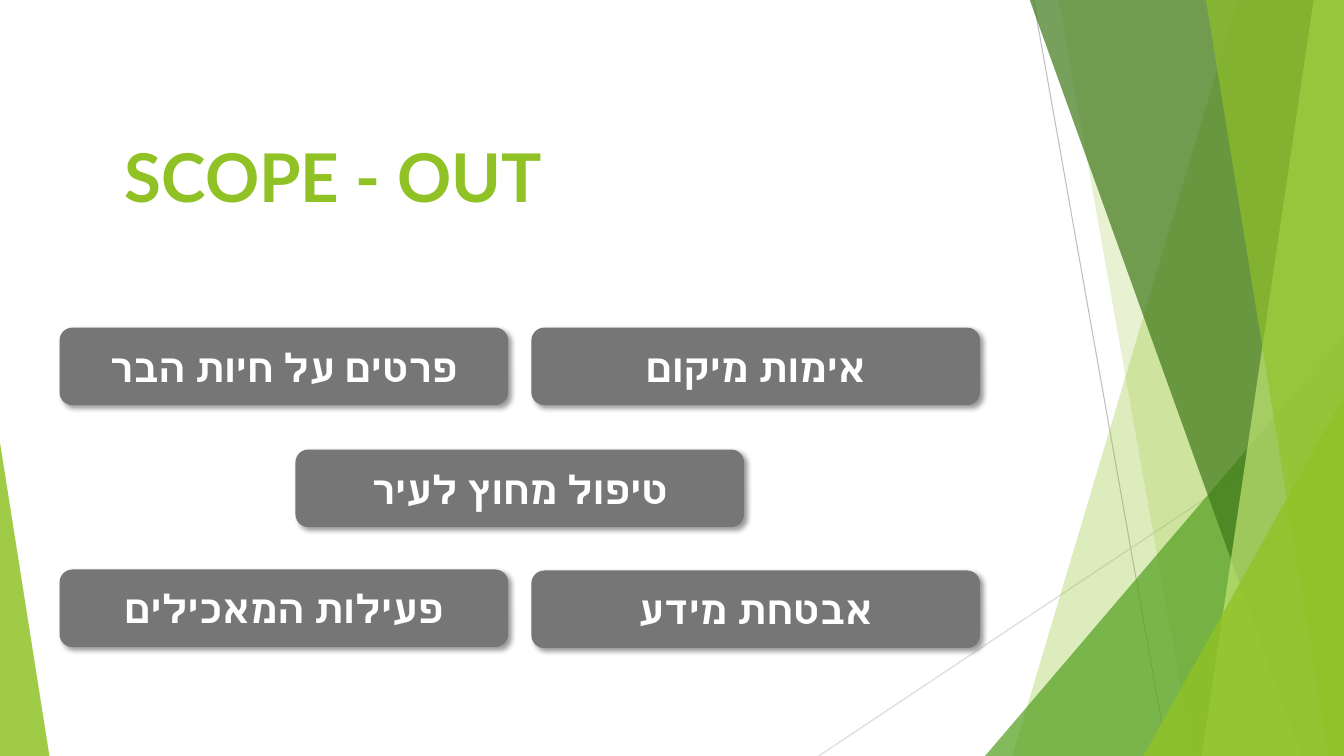
from dataclasses import dataclass

from lxml.etree import SubElement
from pptx import Presentation
from pptx.dml.color import RGBColor
from pptx.enum.shapes import MSO_CONNECTOR, MSO_SHAPE
from pptx.enum.text import MSO_ANCHOR, PP_ALIGN
from pptx.oxml.ns import qn
from pptx.util import Inches, Pt

WIDE, HIGH = 13.33, 7.5
TOP = -0.01
GREEN, WHITE, GRAY = "90C226", "FFFFFF", "767676"


@dataclass
class Line:
    start: tuple[float, float]
    end: tuple[float, float]
    color: str


@dataclass
class Band:
    """Panel that reaches the right edge, with a slanted left side."""
    head: float
    foot: float
    color: str
    alpha: int


@dataclass
class Wedge:
    """Triangle that stands on the bottom edge; tip is 0 left or 1 right."""
    left: float
    top: float
    width: float
    tip: int
    color: str
    alpha: int


@dataclass
class Box:
    text: str
    left: float
    top: float


LINES = [
    Line((10.25, 0), (11.58, HIGH), "BFBFBF"),
    Line((WIDE, 4.03), (8.12, HIGH), "D9D9D9"),
]
DECOR = [
    Band(12.28, 10.04, GREEN, 30),
    Band(10.5, 11.83, GREEN, 20),
    Wedge(9.77, 3.33, 3.56, 1, "54A021", 72),
    Band(10.21, 12.91, "3F7819", 70),
    Band(13.03, 11.92, "C0E474", 70),
    Band(11.96, 13.18, GREEN, 65),
    Wedge(11.34, 3.93, 1.99, 1, GREEN, 80),
    Wedge(0, 4.39, 0.49, 0, GREEN, 85),
]
LEFT, MID, RIGHT = 0.59, 2.93, 5.27
BOXES = [
    Box("טיפול מחוץ לעיר", MID, 4.46),
    Box("אימות מיקום", RIGHT, 3.25),
    Box("פעילות המאכילים", LEFT, 5.65),
    Box("פרטים על חיות הבר", LEFT, 3.25),
    Box("אבטחת מידע", RIGHT, 5.66),
]


def rgb(color: str) -> RGBColor:
    return RGBColor.from_string(color)


def paint(shape, color: str, alpha: int = 100) -> None:
    shape.shadow.inherit = False
    shape.fill.solid()
    shape.fill.fore_color.rgb = rgb(color)
    shape.line.fill.background()
    if alpha < 100:
        tint = next(shape.element.spPr.iter(qn("a:srgbClr")))
        SubElement(tint, qn("a:alpha"), val=str(alpha * 1000))


def shade(shape) -> None:
    effects = shape.element.spPr.find(qn("a:effectLst"))
    outer = SubElement(effects, qn("a:outerShdw"), blurRad=str(Pt(4)),
                       dist=str(Pt(3)), dir=str(45 * 60000),
                       algn="tl", rotWithShape="0")
    tint = SubElement(outer, qn("a:srgbClr"), val="000000")
    SubElement(tint, qn("a:alpha"), val="40000")


def write(shape, text: str, size: int, color: str, align: PP_ALIGN):
    frame = shape.text_frame
    frame.word_wrap = True
    frame.vertical_anchor = MSO_ANCHOR.MIDDLE
    para = frame.paragraphs[0]
    para.alignment = align
    run = para.add_run()
    run.text = text
    style = {"size": Pt(size), "name": "Lato", "bold": True}
    for key, value in style.items():
        setattr(run.font, key, value)
    run.font.color.rgb = rgb(color)
    SubElement(run.font._element, qn("a:cs"), typeface="Lato")
    return para


def draw_line(shapes, line: Line) -> None:
    ends = [Inches(n) for n in (*line.start, *line.end)]
    link = shapes.add_connector(MSO_CONNECTOR.STRAIGHT, *ends)
    link.line.color.rgb = rgb(line.color)
    link.line.width = Pt(0.75)
    SubElement(link.element.spPr, qn("a:effectLst"))


def draw_band(shapes, band: Band) -> None:
    pen = shapes.build_freeform(Inches(band.head), Inches(TOP))
    rest = [(WIDE, TOP), (WIDE, HIGH), (band.foot, HIGH)]
    pen.add_line_segments([(Inches(x), Inches(y)) for x, y in rest])
    paint(pen.convert_to_shape(), band.color, band.alpha)


def draw_wedge(shapes, wedge: Wedge) -> None:
    shape = shapes.add_shape(
        MSO_SHAPE.ISOSCELES_TRIANGLE, Inches(wedge.left), Inches(wedge.top),
        Inches(wedge.width), Inches(HIGH - wedge.top))
    shape.adjustments[0] = wedge.tip
    paint(shape, wedge.color, wedge.alpha)


def draw_box(shapes, box: Box) -> None:
    shape = shapes.add_shape(
        MSO_SHAPE.ROUNDED_RECTANGLE, Inches(box.left), Inches(box.top),
        Inches(4.45), Inches(0.77))
    paint(shape, GRAY)
    shade(shape)
    write(shape, box.text, 28, WHITE, PP_ALIGN.CENTER)


def main() -> None:
    deck = Presentation()
    deck.slide_width, deck.slide_height = Inches(WIDE), Inches(HIGH)
    shapes = deck.slides.add_slide(deck.slide_layouts[6]).shapes

    # Side decoration
    for line in LINES:
        draw_line(shapes, line)
    for part in DECOR:
        if isinstance(part, Band):
            draw_band(shapes, part)
        else:
            draw_wedge(shapes, part)

    # Title
    title = shapes.add_textbox(Inches(1.14), Inches(0.89),
                               Inches(10.87), Inches(1.7))
    para = write(title, "SCOPE - OUT", 48, GREEN, PP_ALIGN.LEFT)
    para._p.get_or_add_pPr().set("rtl", "1")

    # Topics out of scope
    for box in BOXES:
        draw_box(shapes, box)

    deck.save("out.pptx")


if __name__ == "__main__":
    main()
